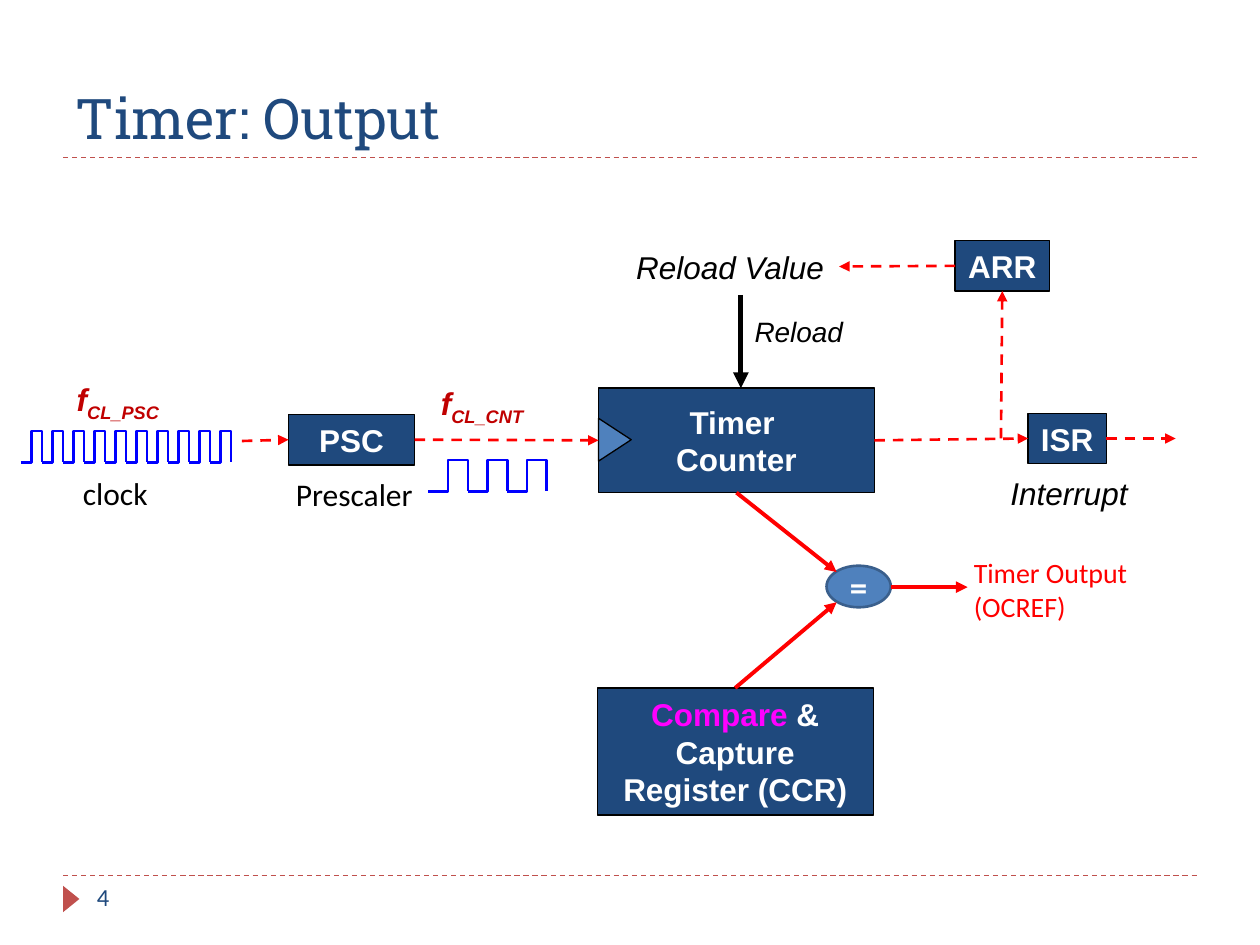
from lxml.etree import SubElement
from pptx import Presentation
from pptx.dml.color import RGBColor
from pptx.enum.dml import MSO_LINE
from pptx.enum.shapes import MSO_CONNECTOR, MSO_SHAPE
from pptx.enum.text import MSO_ANCHOR, MSO_AUTO_SIZE, PP_ALIGN
from pptx.oxml.ns import qn
from pptx.util import Pt

NAVY, BLUE, RED, ACCENT = "1F497D", "4F81BD", "FF0000", "C0504D"
BLACK, WHITE = "000000", "FFFFFF"

ITALIC = dict(font="Arial", size=18, color=BLACK, italic=True)
PLAIN = dict(font="Calibri", size=18, color=BLACK)
FREQUENCY = dict(font="Arial", size=18, color="C00000", bold=True, italic=True)
BLOCK = dict(font="Arial", size=18, color=WHITE, bold=True, align=PP_ALIGN.CENTER)

TITLE = "Timer: Output"
RULES = [90, 500.4]

LABELS = [
    (["4"], (48.24, 500.4, 156.24, 28.8), dict(font="Calibri", size=14, color=NAVY, wrap=True)),
    (["Reload Value"], (356.4, 138.24, 123.12, 28.8), ITALIC),
    (["Reload"], (424.08, 176.4, 75.6, 26.64), {**ITALIC, "size": 16, "wrap": True}),
    (["Interrupt"], (570.24, 267.12, 82.08, 28.8), ITALIC),
    (["Prescaler"], (162, 267.84, 82.08, 28.8), PLAIN),
    (["clock"], (40.32, 267.12, 53.28, 28.8), PLAIN),
    ([["f", ("CL_PSC", {"baseline": -25000})]], (36.72, 213.84, 68.4, 28.8), FREQUENCY),
    ([["f", ("CL_CNT", {"baseline": -25000})]], (244.8, 216, 68.4, 28.8), FREQUENCY),
    (["Timer Output", "(OCREF)"], (549.36, 313.92, 128.16, 46.08),
     dict(font="Calibri", size=16, color=RED, wrap=True)),
]

BLOCKS = {
    "timer": (["Timer ", "Counter"], (342, 221.76, 157.68, 59.76), False),
    "psc": (["PSC"], (164.88, 236.88, 72, 28.8), False),
    "isr": (["ISR"], (587.52, 236.16, 44.64, 28.8), False),
    "arr": (["ARR"], (545.76, 137.52, 54, 28.8), False),
    "ccr": ([[("Compare", {"color": "FF00FF"}), " & Capture Register (CCR)"]],
            (341.28, 393.12, 157.68, 72.72), True),
}

TOP, LEFT, BOTTOM, RIGHT = range(4)
DASHED = dict(color=RED, width=1.5, dash=True)
SOLID = dict(color=RED, width=2.25)
ARROWS = [
    ((138.24, 252), ("psc", LEFT), DASHED),
    (("psc", RIGHT), ("timer", LEFT), DASHED),
    (("timer", RIGHT), ("isr", LEFT), DASHED),
    (("isr", RIGHT), (671.76, 250.56), DASHED),
    ((572, 250.56), ("arr", BOTTOM), DASHED),
    (("arr", LEFT), (479.52, 152.28), DASHED),
    ((423.36, 168.48), (423.36, 221.76), dict(color=BLACK, width=3)),
    (("timer", BOTTOM), (478.08, 326.88), SOLID),
    (("ccr", TOP), (478.08, 344.16), SOLID),
    ((509.04, 335.52), (552.96, 335.52), SOLID),
]

PULSE_HEIGHT = 18
WAVES = [(12, 246.24, 12, 10), (244.8, 262.8, 22.56, 3)]


def rgb(value):
    """Return a colour from its hex string."""
    return RGBColor.from_string(value)


def points(*values):
    """Return lengths given in points."""
    return [Pt(value) for value in values]


def write(frame, paragraphs, font, size, color, bold=False, italic=False,
          align=PP_ALIGN.LEFT, wrap=False, anchor=MSO_ANCHOR.TOP):
    """Fill a text frame; a run may be a string or a string with overrides."""
    frame.word_wrap = wrap
    frame.auto_size = MSO_AUTO_SIZE.NONE
    frame.vertical_anchor = anchor
    for index, runs in enumerate(paragraphs):
        para = frame.paragraphs[0] if index == 0 else frame.add_paragraph()
        para.alignment = align
        for run in [runs] if isinstance(runs, str) else runs:
            text, change = (run, {}) if isinstance(run, str) else run
            span = para.add_run()
            span.text = text
            span.font.name, span.font.size = font, Pt(size)
            span.font.bold, span.font.italic = bold, italic
            span.font.color.rgb = rgb(change.get("color", color))
            if "baseline" in change:
                span.font._element.set("baseline", str(change["baseline"]))


def add_figure(page, kind, place, fill, line=None, width=0.75, rotation=0):
    """Add a preset shape with a flat fill."""
    shape = page.shapes.add_shape(kind, *points(*place))
    shape.shadow.inherit = False
    shape.rotation = rotation
    shape.fill.solid()
    shape.fill.fore_color.rgb = rgb(fill)
    if line:
        shape.line.color.rgb = rgb(line)
        shape.line.width = Pt(width)
    else:
        shape.line.fill.background()
    return shape


def add_line(page, start, end, blocks, color, width, dash=False, arrow=True):
    """Draw a straight line between points or block sides."""
    joined = [isinstance(stop[0], str) for stop in (start, end)]
    begin, finish = [(0, 0) if glued else stop for glued, stop in zip(joined, (start, end))]
    line = page.shapes.add_connector(MSO_CONNECTOR.STRAIGHT, *points(*begin, *finish))
    if joined[0]:
        line.begin_connect(blocks[start[0]], start[1])
    if joined[1]:
        line.end_connect(blocks[end[0]], end[1])
    line.line.color.rgb = rgb(color)
    line.line.width = Pt(width)
    if dash:
        line.line.dash_style = MSO_LINE.DASH
    if arrow:
        SubElement(line.get_or_add_ln(), qn("a:tailEnd"), type="triangle")
    SubElement(line.element.spPr, qn("a:effectLst"))


def add_wave(page, left, top, period, count):
    """Draw a group of equal square pulses."""
    group = page.shapes.add_group_shape()
    low = top + PULSE_HEIGHT
    for index in range(count):
        start = left + index * period
        middle, end = start + period / 2, start + period
        outline = group.shapes.build_freeform(*points(start, low))
        corners = [(middle, low), (middle, top), (end, top), (end, low)]
        outline.add_line_segments([points(*corner) for corner in corners], close=False)
        pulse = outline.convert_to_shape()
        pulse.shadow.inherit = False
        pulse.fill.background()
        pulse.line.color.rgb = rgb("0000FF")
        pulse.line.width = Pt(1.5)


def main():
    """Build the slide and save it."""
    deck = Presentation()
    deck.slide_width, deck.slide_height = points(720, 540)
    page = deck.slides.add_slide(deck.slide_layouts[5])

    title = page.shapes.title
    title.left, title.top, title.width, title.height = points(36, 12.24, 648, 77.76)
    write(title.text_frame, [TITLE], "Roboto Slab", 32, NAVY, wrap=True, anchor=MSO_ANCHOR.BOTTOM)
    for height in RULES:
        add_line(page, (36, height), (684, height), {}, ACCENT, 0.75, dash=True, arrow=False)
    add_figure(page, MSO_SHAPE.ISOSCELES_TRIANGLE, (33.12, 509.04, 15.12, 9.36), ACCENT, rotation=90)

    blocks = {}
    for name, (text, place, wrap) in BLOCKS.items():
        blocks[name] = add_figure(page, MSO_SHAPE.RECTANGLE, place, NAVY, BLACK)
        write(blocks[name].text_frame, text, wrap=wrap, anchor=MSO_ANCHOR.MIDDLE, **BLOCK)
    add_figure(page, MSO_SHAPE.ISOSCELES_TRIANGLE, (339.12, 241.92, 24.48, 18.72), BLUE, BLACK, rotation=90)
    comparator = add_figure(page, MSO_SHAPE.OVAL, (472.32, 323.28, 36.72, 23.76), BLUE, "3A5F8C", 1.5)
    write(comparator.text_frame, ["="], "Calibri", 20, WHITE, bold=True,
          align=PP_ALIGN.CENTER, wrap=True, anchor=MSO_ANCHOR.MIDDLE)

    for wave in WAVES:
        add_wave(page, *wave)
    for start, end, style in ARROWS:
        add_line(page, start, end, blocks, **style)
    for text, place, style in LABELS:
        box = page.shapes.add_textbox(*points(*place))
        write(box.text_frame, text, **style)

    deck.save("out.pptx")


if __name__ == "__main__":
    main()
